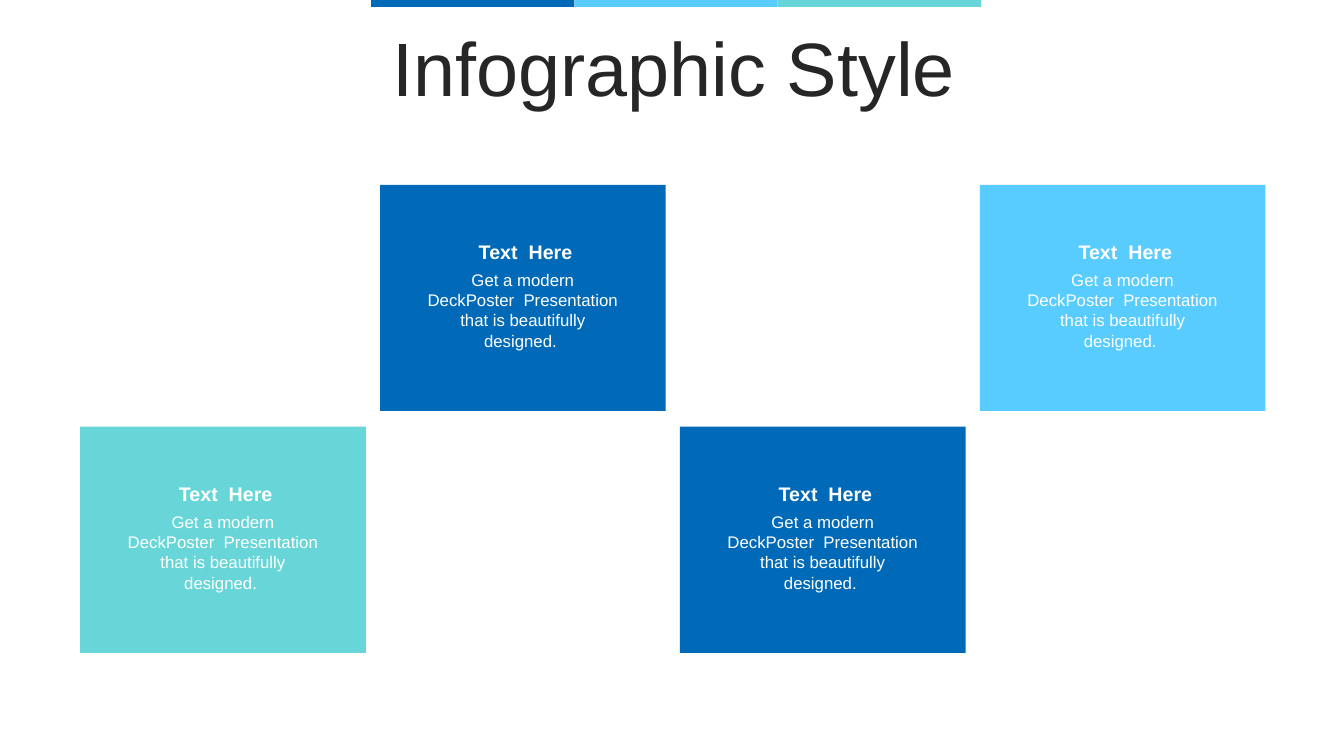
from pptx import Presentation
from pptx.dml.color import RGBColor
from pptx.enum.shapes import MSO_SHAPE
from pptx.enum.text import MSO_ANCHOR, PP_ALIGN
from pptx.util import Pt

BLUE, SKY, TEAL = "006AB8", "58CCFE", "68D6D8"
WHITE, DARK = "FFFFFF", "262626"

CARD_LEFT, CARD_PITCH = 57.3, 214.2
CARD_WIDTH, CARD_HEIGHT = 204, 161.5
UPPER_ROW, LOWER_ROW = 132, 304.8
STRIPE_LEFT, STRIPE_WIDTH, STRIPE_HEIGHT = 265.2, 145.2, 5

HEADING = " Text  Here"
BODY = "Get a modern DeckPoster  Presentation that is beautifully designed. "


def color(hex_value):
    return RGBColor.from_string(hex_value)


def add_block(slide, left, top, width, height, fill):
    shape = slide.shapes.add_shape(
        MSO_SHAPE.RECTANGLE, Pt(left), Pt(top), Pt(width), Pt(height))
    shape.shadow.inherit = False
    shape.fill.solid()
    shape.fill.fore_color.rgb = color(fill)
    shape.line.fill.background()


def add_text(slide, text, left, top, width, height, *, size, fill=WHITE,
             bold=False, anchor=MSO_ANCHOR.TOP, line_spacing=None):
    box = slide.shapes.add_textbox(Pt(left), Pt(top), Pt(width), Pt(height))
    frame = box.text_frame
    frame.word_wrap = True
    frame.vertical_anchor = anchor
    paragraph = frame.paragraphs[0]
    paragraph.text = text
    paragraph.alignment = PP_ALIGN.CENTER
    paragraph.line_spacing = line_spacing
    paragraph.font.name = "Arial"
    paragraph.font.size = Pt(size)
    paragraph.font.bold = bold
    paragraph.font.color.rgb = color(fill)


def add_card(slide, left, top, fill):
    add_block(slide, left, top, CARD_WIDTH, CARD_HEIGHT, fill)
    text_left = left + 26
    add_text(slide, HEADING, text_left, top + 36, 152, 24, size=14, bold=True)
    add_text(slide, BODY, text_left, top + 57.2, 152, 65.5, size=12)


def main():
    presentation = Presentation()
    presentation.slide_width, presentation.slide_height = Pt(960), Pt(540)
    slide = presentation.slides.add_slide(presentation.slide_layouts[6])

    # Stripe along the top edge
    for index, fill in enumerate((BLUE, SKY, TEAL)):
        add_block(slide, STRIPE_LEFT + index * STRIPE_WIDTH, 0,
                  STRIPE_WIDTH, STRIPE_HEIGHT, fill)

    # Title
    add_text(slide, "Infographic Style", 25.5, 22.8, 911.5, 57, size=54,
             fill=DARK, anchor=MSO_ANCHOR.MIDDLE, line_spacing=0.9)

    # Cards, alternating between the lower and upper rows
    for index, fill in enumerate((TEAL, BLUE, BLUE, SKY)):
        top = UPPER_ROW if index % 2 else LOWER_ROW
        add_card(slide, CARD_LEFT + index * CARD_PITCH, top, fill)

    presentation.save("out.pptx")


if __name__ == "__main__":
    main()
